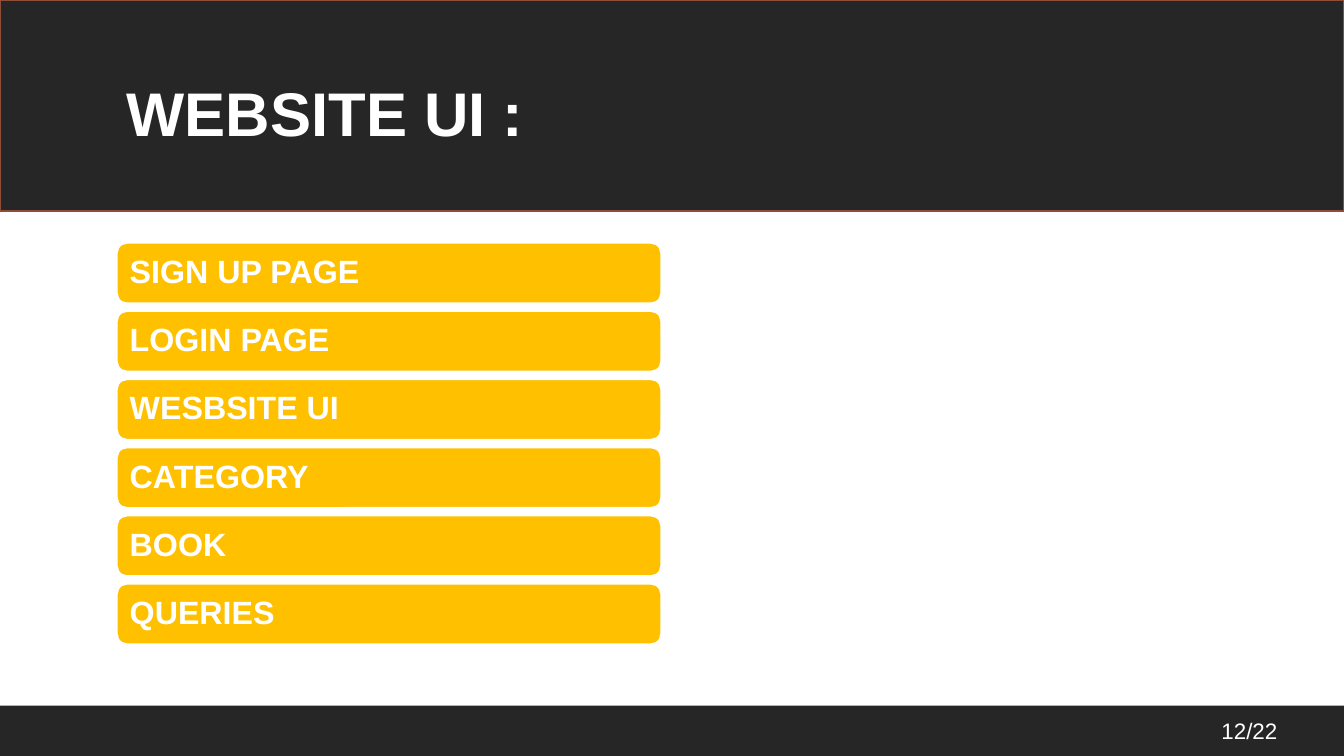
"""Build the website UI contents slide."""
from pptx import Presentation
from pptx.dml.color import RGBColor
from pptx.enum.shapes import MSO_SHAPE
from pptx.enum.text import MSO_ANCHOR, PP_ALIGN
from pptx.util import Pt

TITLE = "WEBSITE UI :"
SECTIONS = ["SIGN UP PAGE", "LOGIN PAGE", "WESBSITE UI", "CATEGORY", "BOOK", "QUERIES"]
PAGE_NUMBER = "12/22"

FONT = "Arial"
DARK, RUST, AMBER, WHITE = "262626", "904E39", "FFC000", "FFFFFF"
WIDTH, HEIGHT = 960, 540
HEADER_HEIGHT, FOOTER_HEIGHT = 150.5, 36
LEFT = 83.5
BAR_TOP, BAR_WIDTH, BAR_HEIGHT, BAR_PITCH = 173.5, 388.8, 43.2, 48.7


def color(value):
    return RGBColor.from_string(value)


def add_block(page, kind, bounds, fill, line=None):
    shape = page.shapes.add_shape(kind, *map(Pt, bounds))
    shape.shadow.inherit = False
    shape.fill.solid()
    shape.fill.fore_color.rgb = color(fill)
    if line:
        shape.line.color.rgb = color(line)
        shape.line.width = Pt(1.25)
    else:
        shape.line.fill.background()
    return shape


def write(shape, text, size, bold=False, anchor=MSO_ANCHOR.MIDDLE):
    frame = shape.text_frame
    frame.word_wrap = True
    frame.vertical_anchor = anchor
    para = frame.paragraphs[0]
    para.text = text
    para.alignment = PP_ALIGN.LEFT
    para.font.name = FONT
    para.font.size = Pt(size)
    para.font.bold = bold
    para.font.color.rgb = color(WHITE)
    return para


def main():
    deck = Presentation()
    deck.slide_width, deck.slide_height = Pt(WIDTH), Pt(HEIGHT)
    page = deck.slides.add_slide(deck.slide_layouts[6])

    footer = (0, HEIGHT - FOOTER_HEIGHT, WIDTH, FOOTER_HEIGHT)
    add_block(page, MSO_SHAPE.RECTANGLE, footer, DARK)
    add_block(page, MSO_SHAPE.RECTANGLE, (0, 0, WIDTH, HEADER_HEIGHT), DARK, RUST)

    title = page.shapes.add_textbox(Pt(LEFT), Pt(49.7), Pt(723.6), Pt(60.5))
    write(title, TITLE, 44, bold=True, anchor=MSO_ANCHOR.TOP)

    for index, section in enumerate(SECTIONS):
        bounds = (LEFT, BAR_TOP + index * BAR_PITCH, BAR_WIDTH, BAR_HEIGHT)
        bar = add_block(page, MSO_SHAPE.ROUNDED_RECTANGLE, bounds, AMBER, WHITE)
        write(bar, section, 23, bold=True).line_spacing = 0.9

    number = page.shapes.add_textbox(Pt(865.4), Pt(507.6), Pt(61.2), Pt(28.8))
    write(number, PAGE_NUMBER, 16)

    deck.save("out.pptx")


if __name__ == "__main__":
    main()
